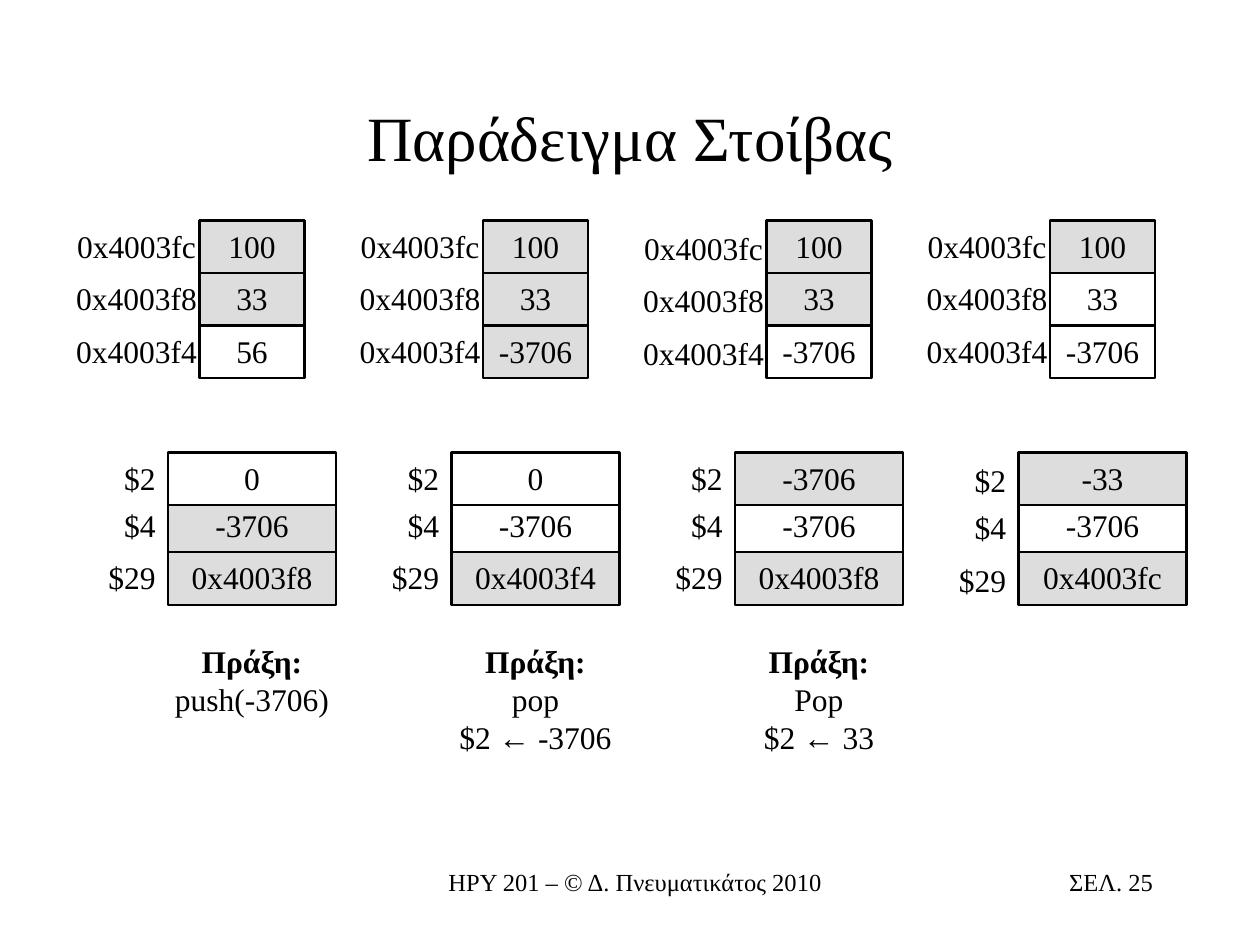
from pptx import Presentation, util as u
from pptx.dml.color import RGBColor
from pptx.enum import shapes, text

COLS, ROWS = 120, 90
STEP = 27
MEMORY_TOP, REGISTER_TOPS = 21, (43.1, 47.6, 52.6)
CELL_HEIGHT, LABEL_HEIGHT = 5, 4.8
ADDRESSES = ("0x4003fc", "0x4003f8", "0x4003f4")
REGISTERS = ("$2", "$4", "$29")
GREY, WHITE = "DDDDDD", "FFFFFF"

# Memory values, used memory cells, register values, changed registers,
# operation, downward shift of the memory and register labels
STATES = [
    (("100", "33", "56"), (0, 1), ("0", "-3706", "0x4003f8"), (1, 2),
     ("push(-3706)",), 0, 0),
    (("100", "33", "-3706"), (0, 1, 2), ("0", "-3706", "0x4003f4"), (2,),
     ("pop", "$2 ← -3706"), 0, 0),
    (("100", "33", "-3706"), (0, 1), ("-3706", "-3706", "0x4003f8"), (0, 2),
     ("Pop", "$2 ← 33"), 0.2, 0),
    (("100", "33", "-3706"), (0,), ("-33", "-3706", "0x4003fc"), (0, 2),
     (), 0, 0.2),
]


def color(value):
    """Turn a hex string into a colour."""
    return RGBColor.from_string(value)


class Deck:
    """Style and current slide, measured on a grid of columns and rows."""

    font, ink, size = "Times New Roman", "000000", 18

    def __init__(self, prs):
        """Add a title-only slide."""
        self.unit_x = prs.slide_width / COLS
        self.unit_y = prs.slide_height / ROWS
        self.s = prs.slides.add_slide(prs.slide_layouts[5])

    def box(self, x, y, w, h):
        """Convert grid units to slide lengths."""
        return (round(x * self.unit_x), round(y * self.unit_y),
                round(w * self.unit_x), round(h * self.unit_y))

    def put_text(self, sp, lines, align=text.PP_ALIGN.CENTER, size=None,
                 bold_first=False, anchor=text.MSO_ANCHOR.TOP):
        """Fill a shape with one paragraph per line."""
        tf = sp.text_frame
        tf.word_wrap = True
        tf.vertical_anchor = anchor
        tf.text = "\n".join(lines)
        for i, p in enumerate(tf.paragraphs):
            p.alignment = align
            p.font.name = self.font
            p.font.size = u.Pt(size or self.size)
            p.font.bold = bold_first and i == 0
            p.font.color.rgb = color(self.ink)

    def title(self, x, y, w, h, line):
        """Place and fill the title."""
        sp = self.s.shapes.title
        sp.left, sp.top, sp.width, sp.height = self.box(x, y, w, h)
        self.put_text(sp, [line], size=36, anchor=text.MSO_ANCHOR.MIDDLE)

    def label(self, x, y, w, h, *lines, **style):
        """Add plain text."""
        sp = self.s.shapes.add_textbox(*self.box(x, y, w, h))
        self.put_text(sp, lines, **style)

    def cell(self, x, y, w, value, fill):
        """Add a bordered box with a value."""
        sp = self.s.shapes.add_shape(shapes.MSO_SHAPE.RECTANGLE,
                                     *self.box(x, y, w, CELL_HEIGHT))
        sp.shadow.inherit = False
        sp.fill.solid()
        sp.fill.fore_color.rgb = color(fill)
        sp.line.color.rgb = color(self.ink)
        sp.line.width = u.Pt(1.25)
        self.put_text(sp, [value])

    def memory(self, x, values, used, shift):
        """Draw the stack cells with their addresses."""
        for i, value in enumerate(values):
            y = MEMORY_TOP + i * CELL_HEIGHT
            self.cell(x + 19, y, 10, value, GREY if i in used else WHITE)
            self.label(x + 6, y + shift, 14, LABEL_HEIGHT, ADDRESSES[i])

    def registers(self, x, values, changed, shift):
        """Draw the registers from the bottom up, as the top one overlaps."""
        for i in reversed(range(len(values))):
            y = REGISTER_TOPS[i]
            self.cell(x + 16, y, 16, values[i], GREY if i in changed else WHITE)
            self.label(x + 9, y + shift, 7, LABEL_HEIGHT, REGISTERS[i],
                       align=text.PP_ALIGN.RIGHT)


def main():
    """Build the slide and save it."""
    prs = Presentation()
    prs.slide_width, prs.slide_height = u.Inches(10), u.Inches(7.5)
    deck = Deck(prs)
    deck.title(9, 8, 102, 10, "Παράδειγμα Στοίβας")
    for n, (cells, used, regs, changed, action, mem_shift, reg_shift) in enumerate(STATES):
        x = n * STEP
        deck.memory(x, cells, used, mem_shift)
        deck.registers(x, regs, changed, reg_shift)
        if action:
            deck.label(x + 15, 60.6, 18, 12, "Πράξη:", *action, bold_first=True)
    deck.label(36, 82, 49, 6, "ΗΡΥ 201 – © Δ. Πνευματικάτος 2010", size=14)
    deck.label(86, 82, 25, 6, "ΣΕΛ. 25", size=14, align=text.PP_ALIGN.RIGHT)
    prs.save("out.pptx")


main()
